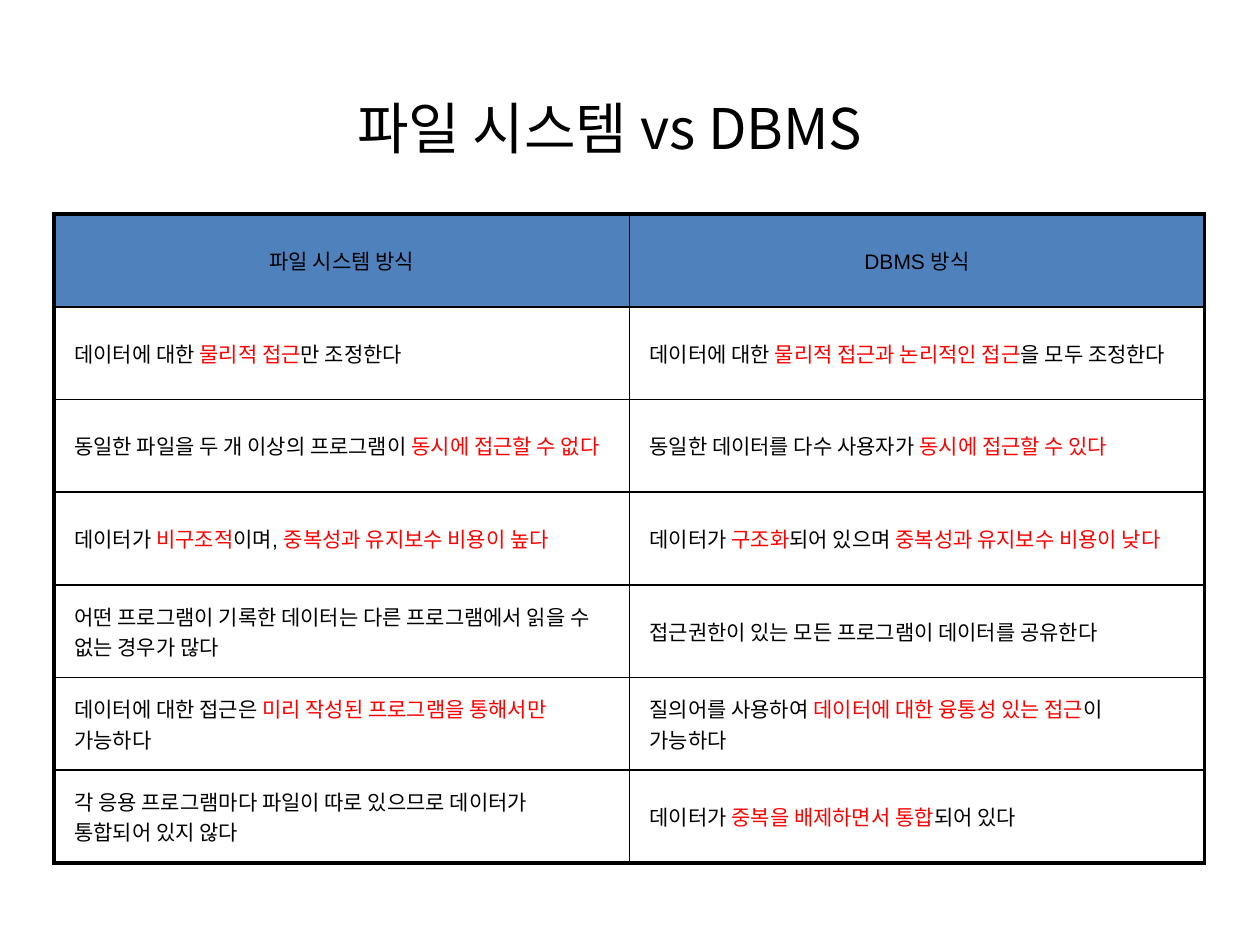
from lxml import etree
from pptx import Presentation
from pptx.dml.color import RGBColor
from pptx.enum.text import MSO_ANCHOR, PP_ALIGN
from pptx.oxml.ns import qn
from pptx.util import Inches, Pt

MIDDLE, CENTER, LEFT = MSO_ANCHOR.MIDDLE, PP_ALIGN.CENTER, PP_ALIGN.LEFT
BLACK = RGBColor(0, 0, 0)
RED = RGBColor(255, 0, 0)
BLUE = RGBColor(0x4F, 0x81, 0xBD)
WHITE = RGBColor(255, 255, 255)
KOREAN = "Noto Sans CJK KR"
THICK, THIN = Pt(2.25), Pt(1)

TITLE = "파일 시스템 vs DBMS"
ROWS = [
    ("파일 시스템 방식", "DBMS 방식"),
    ("데이터에 대한 *물리적 접근*만 조정한다",
     "데이터에 대한 *물리적 접근과 논리적인 접근*을 모두 조정한다"),
    ("동일한 파일을 두 개 이상의 프로그램이 *동시에 접근할 수 없다*",
     "동일한 데이터를 다수 사용자가 *동시에 접근할 수 있다*"),
    ("데이터가 *비구조적*이며, *중복성과 유지보수 비용이 높다*",
     "데이터가 *구조화*되어 있으며 *중복성과 유지보수 비용이 낮다*"),
    ("어떤 프로그램이 기록한 데이터는 다른 프로그램에서 읽을 수 없는 경우가 많다",
     "접근권한이 있는 모든 프로그램이 데이터를 공유한다"),
    ("데이터에 대한 접근은 *미리 작성된 프로그램을 통해서만 *가능하다",
     "질의어를 사용하여 *데이터에 대한 융통성 있는 접근*이 가능하다"),
    ("각 응용 프로그램마다 파일이 따로 있으므로 데이터가 통합되어 있지 않다",
     "데이터가 *중복을 배제하면서 통합*되어 있다"),
]
TITLE_BOX = dict(left=Inches(0.34), top=Inches(0.38), width=Inches(9), height=Inches(1.25))
TABLE_BOX = dict(left=Inches(0.43), top=Inches(1.7), width=Inches(9.13), height=Inches(5.15))
CELL = dict(vertical_anchor=MIDDLE, margin_left=Inches(0.16), margin_right=Inches(0.16),
            margin_top=Inches(0.05), margin_bottom=Inches(0.05))


def assign(target, values):
    for name, value in values.items():
        setattr(target, name, value)


def write(para, marked_text, font_name, size):
    for index, text in enumerate(marked_text.split("*")):
        if not text:
            continue
        span = para.add_run()
        span.text = text
        assign(span.font, dict(name=font_name, size=size, bold=False))
        span.font.color.rgb = RED if index % 2 else BLACK
        etree.SubElement(span.font._element, qn("a:ea"), typeface=KOREAN)


def add_borders(cell, widths):
    properties = cell._tc.get_or_add_tcPr()
    for position, (side, width) in enumerate(widths.items()):
        line = etree.Element(qn("a:" + side), w=str(int(width)))
        fill = etree.SubElement(line, qn("a:solidFill"))
        etree.SubElement(fill, qn("a:srgbClr"), val=str(BLACK))
        properties.insert(position, line)


deck = Presentation()
assign(deck, dict(slide_width=Inches(10), slide_height=Inches(7.5)))
page = deck.slides.add_slide(deck.slide_layouts[5])

title = page.shapes.title
assign(title, TITLE_BOX)
title.text_frame.vertical_anchor = MIDDLE
heading = title.text_frame.paragraphs[0]
heading.alignment = CENTER
write(heading, TITLE, KOREAN, Pt(32))

last_row, last_column = len(ROWS) - 1, len(ROWS[0]) - 1
table = page.shapes.add_table(len(ROWS), len(ROWS[0]), **TABLE_BOX).table
assign(table, dict(first_row=False, horz_banding=False))

for r, texts in enumerate(ROWS):
    for c, text in enumerate(texts):
        cell = table.cell(r, c)
        assign(cell, CELL)
        cell.fill.solid()
        cell.fill.fore_color.rgb = WHITE if r else BLUE
        add_borders(cell, dict(
            lnL=THIN if c else THICK,
            lnR=THICK if c == last_column else THIN,
            lnT=THIN if r else THICK,
            lnB=THICK if r == last_row else THIN))
        para = cell.text_frame.paragraphs[0]
        assign(para, dict(alignment=LEFT if r else CENTER, space_before=Pt(2.4)))
        write(para, text, "Arial", Pt(12))

deck.save("out.pptx")
